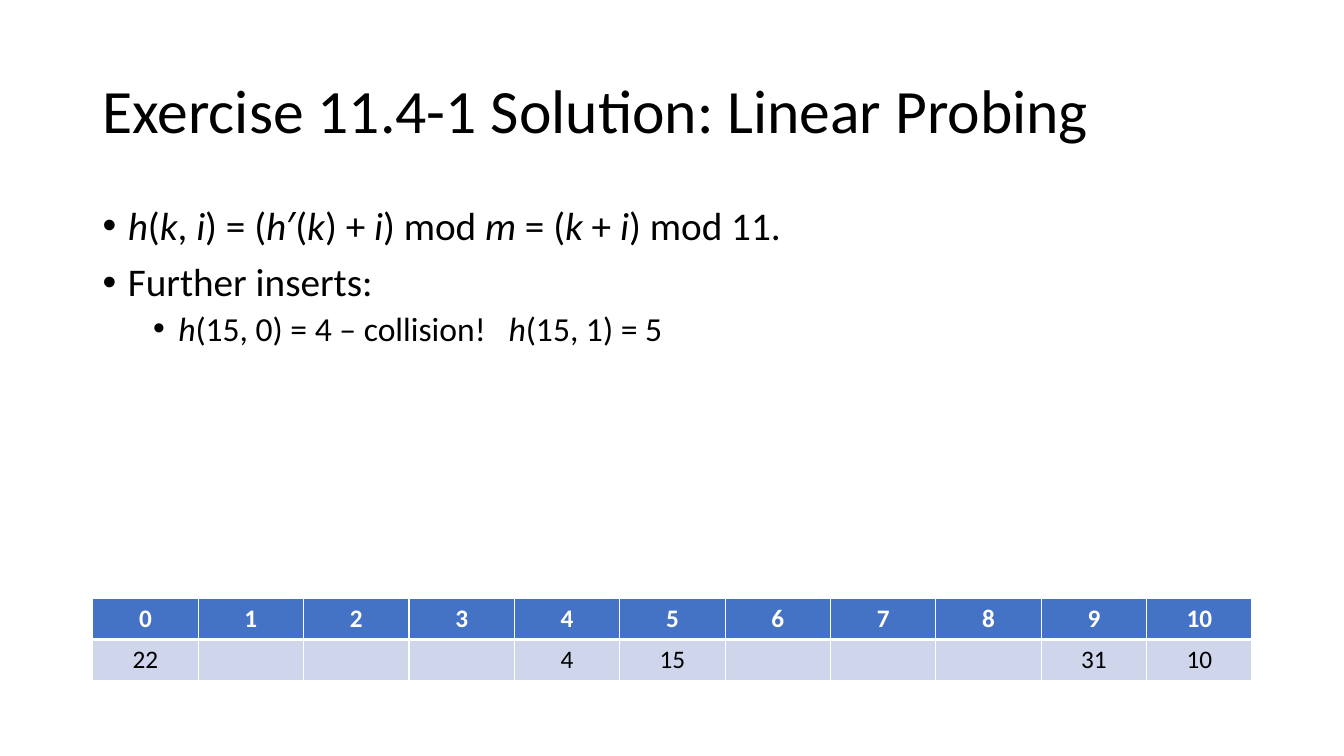
from lxml import etree
from pptx import Presentation
from pptx import util as u
from pptx.dml import color
from pptx.enum import text
from pptx.oxml import ns

MARGIN = u.Inches(0.92)
CONTENT_WIDTH = u.Inches(11.5)
BLACK, WHITE, HEADER_BLUE, SLOT_BLUE = "000000", "FFFFFF", "4472C4", "CFD5EA"
SLOT_COUNT = 11
STORED_KEYS = {0: 22, 4: 4, 5: 15, 9: 31, 10: 10}
WIDE_GAP = "1080"

BULLETS = [
    (0, "*h*(*k*, *i*) = (*h*′(*k*) + *i*) mod *m* = (*k* + *i*) mod 11."),
    (0, "Further inserts:"),
    (1, "*h*(15, 0) = 4 – collision!* **h*(15, 1) = 5"),
]
LEVELS = [
    {"size": 28, "before": 10, "left": 0.25},
    {"size": 24, "before": 5, "left": 0.75},
]


def rgb(value):
    return color.RGBColor.from_string(value)


def add_run(paragraph, words, size, colour=BLACK, **formats):
    run = paragraph.add_run()
    run.text = words
    run.font.color.rgb = rgb(colour)
    formats = {"name": "Calibri", "size": u.Pt(size), **formats}
    for attribute, value in formats.items():
        setattr(run.font, attribute, value)
    return run


def add_text_area(slide, top, height, anchor):
    frame = slide.shapes.add_textbox(MARGIN, top, CONTENT_WIDTH, height).text_frame
    frame.word_wrap = True
    frame.vertical_anchor = anchor
    return frame


def add_title(slide, words):
    frame = add_text_area(slide, u.Inches(0.4), u.Inches(1.45), text.MSO_ANCHOR.MIDDLE)
    heading = frame.paragraphs[0]
    heading.line_spacing = 0.9
    add_run(heading, words, 44)


def set_bullet(paragraph, left):
    properties = paragraph._p.get_or_add_pPr()
    properties.set("marL", str(u.Inches(left)))
    properties.set("indent", str(u.Inches(-0.25)))
    etree.SubElement(properties, ns.qn("a:buFont"), typeface="Arial")
    etree.SubElement(properties, ns.qn("a:buChar"), char="•")


def add_bullets(slide, bullets):
    frame = add_text_area(slide, u.Inches(2), u.Inches(4.76), text.MSO_ANCHOR.TOP)
    for index, (level, formula) in enumerate(bullets):
        line = frame.add_paragraph() if index else frame.paragraphs[0]
        style = LEVELS[level]
        formats = {"level": level, "line_spacing": 0.9, "space_before": u.Pt(style["before"])}
        for attribute, value in formats.items():
            setattr(line, attribute, value)
        set_bullet(line, style["left"])
        for position, part in enumerate(formula.split("*")):
            if part:
                run = add_run(line, part, style["size"], italic=position % 2 == 1)
                if part == " ":
                    run.font._element.set("spc", WIDE_GAP)


def set_borders(cell, widths):
    properties = cell._tc.get_or_add_tcPr()
    for side, width in widths.items():
        border = etree.SubElement(properties, ns.qn(f"a:ln{side}"), w=str(u.Pt(width)))
        fill = etree.SubElement(border, ns.qn("a:solidFill"))
        etree.SubElement(fill, ns.qn("a:srgbClr"), val=WHITE)


def fill_cell(cell, words, fill, colour, bold, borders):
    set_borders(cell, borders)
    cell.fill.solid()
    cell.fill.fore_color.rgb = rgb(fill)
    label = cell.text_frame.paragraphs[0]
    label.alignment = text.PP_ALIGN.CENTER
    if words:
        add_run(label, words, 18, colour, bold=bold)


def add_hash_table(slide):
    table = slide.shapes.add_table(
        2, SLOT_COUNT, MARGIN, u.Inches(5.94), CONTENT_WIDTH, u.Inches(0.81)
    ).table
    for slot in range(SLOT_COUNT):
        key = str(STORED_KEYS.get(slot, ""))
        fill_cell(table.cell(0, slot), str(slot), HEADER_BLUE, WHITE, True,
                  {"L": 1, "R": 1, "T": 1, "B": 3})
        fill_cell(table.cell(1, slot), key, SLOT_BLUE, BLACK, False,
                  {"L": 1, "R": 1, "T": 3, "B": 1})


def main():
    deck = Presentation()
    deck.slide_width = u.Inches(13.33)
    deck.slide_height = u.Inches(7.5)
    slide = deck.slides.add_slide(deck.slide_layouts[6])
    add_title(slide, "Exercise 11.4-1 Solution: Linear Probing")
    add_bullets(slide, BULLETS)
    add_hash_table(slide)
    deck.save("out.pptx")


if __name__ == "__main__":
    main()
